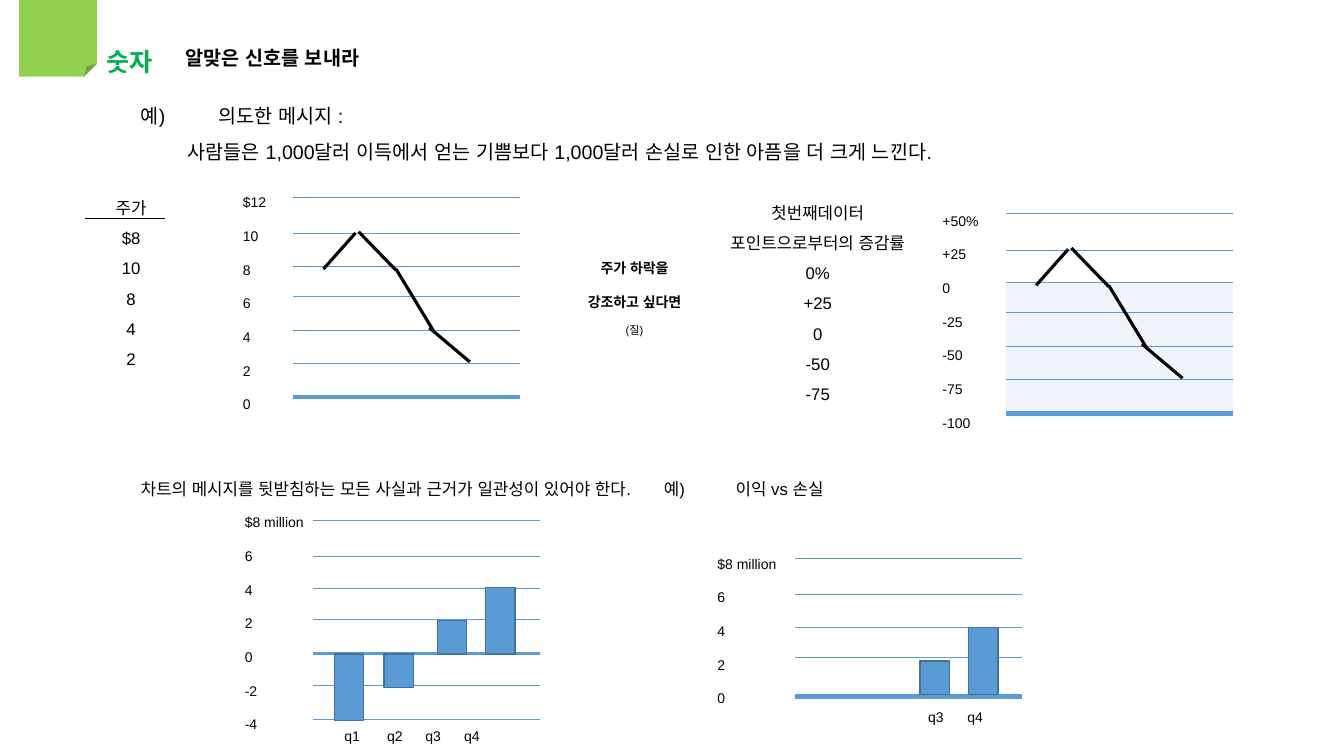
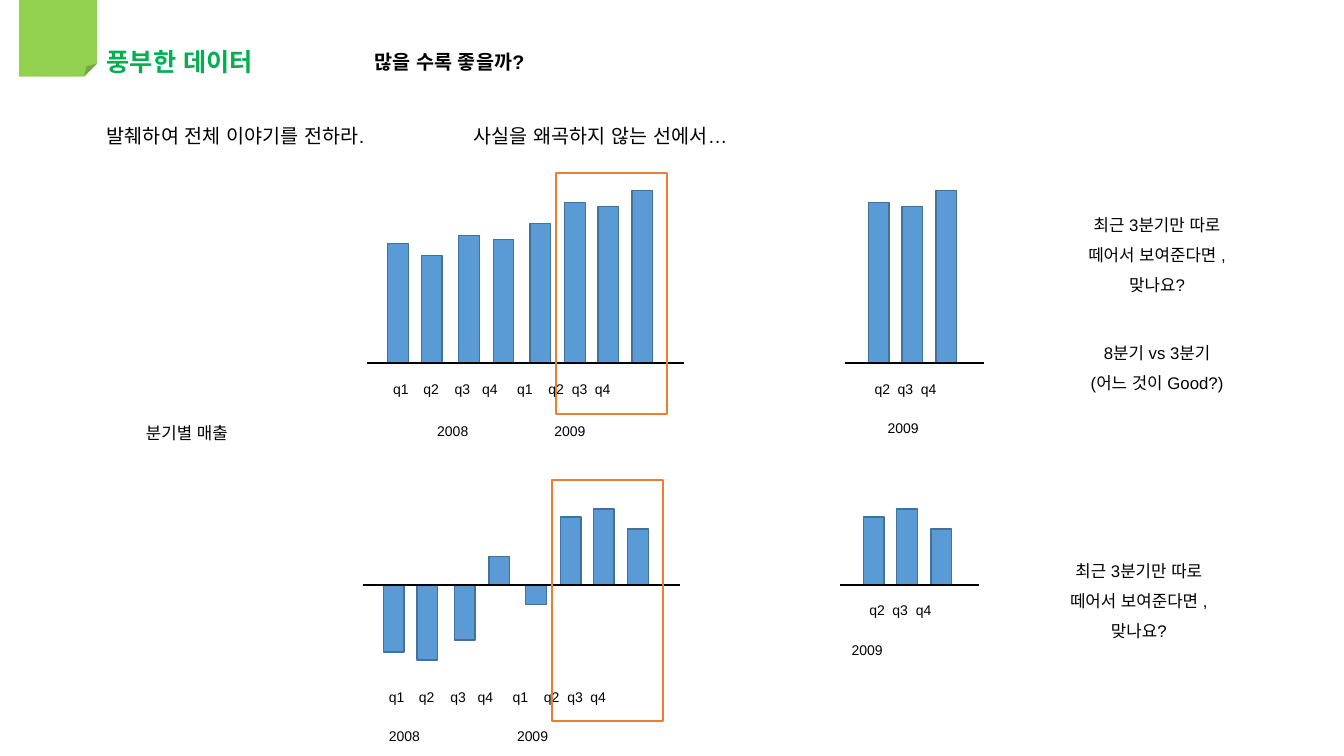
from dataclasses import dataclass

import pptx
import pptx.dml.color
import pptx.enum.shapes
import pptx.enum.text
import pptx.oxml
import pptx.oxml.ns
import pptx.util

Cm = pptx.util.Cm
Pt = pptx.util.Pt
SHAPES = pptx.enum.shapes.MSO_SHAPE
LEFT = pptx.enum.text.PP_ALIGN.LEFT
CENTER = pptx.enum.text.PP_ALIGN.CENTER


@dataclass(frozen=True)
class Theme:
    font: str = "Arial"
    ink: str = "000000"
    title: str = "00B050"
    corner: str = "92D050"
    bar: str = "5B9BD5"
    bar_edge: str = "42719C"
    loss_zone: str = "DEEBF7"
    frame: str = "ED7D31"
    title_size: int = 18
    lead_size: int = 14
    body_size: int = 12
    label_size: int = 10
    note_size: int = 8


@dataclass(frozen=True)
class Line:
    """One paragraph; tabs and indent are in centimetres."""
    text: str
    size: int = 0
    bold: bool = False
    tabs: tuple = ()
    indent: float = 0


def rgb(code):
    return pptx.dml.color.RGBColor.from_string(code)


def add_xml(parent, tag, **attributes):
    child = pptx.oxml.parse_xml(f"<{tag} {pptx.oxml.ns.nsdecls('a')}/>")
    for name, value in attributes.items():
        child.set(name, str(value))
    parent.append(child)
    return child


class Deck:
    # Gridline distances below the top line, shared by all gridded charts
    GRID = (0, 0.91, 1.73, 2.49, 3.35, 4.17, 5.03)
    GRID_WIDTH = 5.72
    # Price curve strokes, relative to the grid's top left corner
    CURVE = ((0.76, 1.8, 1.57, 0.89), (1.65, 0.86, 2.59, 1.83),
             (2.59, 1.8, 3.53, 3.35), (3.43, 3.28, 4.45, 4.14))
    # Bar positions of eight quarters, relative to the axis start
    QUARTERS = (0.52, 1.37, 2.31, 3.18, 4.11, 4.98, 5.82, 6.68)

    def __init__(self, theme):
        self.theme = theme
        self.prs = pptx.Presentation()
        self.prs.slide_width, self.prs.slide_height = Cm(33.87), Cm(19.05)
        self.slide = None

    def new_slide(self, title, title_width):
        self.slide = self.prs.slides.add_slide(self.prs.slide_layouts[6])
        self.box(0.48, 0, 1.96, 1.93, fill=self.theme.corner,
                 kind=SHAPES.FOLDED_CORNER)
        self.text(2.44, 0.66, title_width, 1.27,
                  [Line(title, self.theme.title_size, True)],
                  color=self.theme.title, spacing=1.5)

    def text(self, x, y, w, h, lines, size=None, color=None, align=LEFT,
             spacing=1.0):
        frame = self.slide.shapes.add_textbox(
            Cm(x), Cm(y), Cm(w), Cm(h)).text_frame
        frame.word_wrap = True
        for number, line in enumerate(lines):
            if isinstance(line, str):
                line = Line(line)
            para = frame.add_paragraph() if number else frame.paragraphs[0]
            para.alignment, para.line_spacing = align, spacing
            props = para._p.get_or_add_pPr()
            if line.indent:
                props.set("marL", str(Cm(line.indent)))
                props.set("indent", "0")
            if line.tabs:
                stops = add_xml(props, "a:tabLst")
                for stop in line.tabs:
                    add_xml(stops, "a:tab", pos=Cm(stop), algn="l")
            run = para.add_run()
            run.text = line.text
            run.font.size = Pt(line.size or size or self.theme.body_size)
            run.font.bold = line.bold
            run.font.name = self.theme.font
            run.font.color.rgb = rgb(color or self.theme.ink)
            add_xml(run.font._element, "a:ea", typeface=self.theme.font)

    def labels(self, x, y, w, names, tabs=()):
        """A row of small labels, set apart by tab stops."""
        self.text(x, y, w, 0.69, [Line("\t".join(names), tabs=tabs)],
                  size=self.theme.label_size)

    def scale(self, x, y, w, names):
        self.text(x, y, w, 0.89 * len(names), names,
                  size=self.theme.label_size, spacing=2.0)

    def box(self, x, y, w, h, fill=None, edge=None, width=1.0, alpha=None,
            kind=SHAPES.RECTANGLE):
        shape = self.slide.shapes.add_shape(kind, Cm(x), Cm(y), Cm(w), Cm(h))
        shape.shadow.inherit = False
        if fill:
            shape.fill.solid()
            shape.fill.fore_color.rgb = rgb(fill)
            if alpha:
                color = shape._element.spPr.find(
                    ".//" + pptx.oxml.ns.qn("a:srgbClr"))
                add_xml(color, "a:alpha", val=alpha * 1000)
        else:
            shape.fill.background()
        if edge:
            shape.line.color.rgb = rgb(edge)
            shape.line.width = Pt(width)
        else:
            shape.line.fill.background()

    def line(self, x1, y1, x2, y2, width, color=None):
        stroke = self.slide.shapes.add_connector(
            pptx.enum.shapes.MSO_CONNECTOR.STRAIGHT,
            Cm(x1), Cm(y1), Cm(x2), Cm(y2))
        stroke.line.color.rgb = rgb(color or self.theme.ink)
        stroke.line.width = Pt(width)
        add_xml(stroke._element.spPr, "a:effectLst")

    def grid(self, x, y, offsets=GRID, zero=6, zero_width=3.0):
        for index, offset in enumerate(offsets):
            self.line(x, y + offset, x + self.GRID_WIDTH, y + offset,
                      zero_width if index == zero else 0.75, self.theme.bar)

    def curve(self, x, y):
        for x1, y1, x2, y2 in self.CURVE:
            self.line(x + x1, y + y1, x + x2, y + y2, 2.25)

    def bars(self, base, positions, heights, width):
        """Bars up from the base, or down from it where negative."""
        for x, height in zip(positions, heights):
            self.box(x, base - max(height, 0), width, abs(height),
                     self.theme.bar, self.theme.bar_edge)

    def quarter_chart(self, x, base, heights, label_y):
        """Eight quarters along one axis."""
        self.bars(base, [x + q for q in self.QUARTERS], heights, 0.52)
        self.line(x, base, x + 8, base, 1.5)
        self.labels(x + 0.41, label_y, 6.78,
                    ["q1", "q2", "q3", "q4"] * 2,
                    (0.76, 1.55, 2.24, 3.12, 3.91, 4.5, 5.08))

    def excerpt_chart(self, x, base, heights, label_y):
        """Only the last three quarters."""
        start = x + 0.6 - self.QUARTERS[-3]
        self.bars(base, [start + q for q in self.QUARTERS[-3:]],
                  heights[-3:], 0.52)
        self.line(x, base, x + 3.5, base, 1.5)
        self.labels(x + 0.5, label_y, 2.24, ["q2", "q3", "q4"], (0.58, 1.17))


def signal_slide(deck):
    theme = deck.theme
    deck.new_slide("숫자", 2.01)
    deck.text(4.42, 1.02, 5.36, 0.86, [Line("알맞은 신호를 보내라", bold=True)],
              size=theme.lead_size)
    deck.text(3.3, 2.21, 22.66, 2.06, [
        Line("예)\t의도한 메시지 :", tabs=(1.95,)),
        Line("사람들은 1,000달러 이득에서 얻는 기쁨보다 1,000달러 손실로 인한 "
             "아픔을 더 크게 느낀다.", indent=1.18),
    ], size=theme.lead_size, spacing=1.5)

    # Data columns
    deck.text(2.62, 4.6, 1.37, 4.88, ["주가", "$8", "10", "8", "4", "2"],
              align=CENTER, spacing=1.5)
    deck.line(2.13, 5.51, 4.17, 5.51, 1)
    deck.text(17.93, 4.72, 5.36, 5.64,
              ["첫번째데이터", "포인트으로부터의 증감률",
               "0%", "+25", "0", "-50", "-75"], align=CENTER, spacing=1.5)
    deck.text(14.43, 5.99, 3.12, 2.64,
              [Line("주가 하락을", bold=True),
               Line("강조하고 싶다면", bold=True),
               Line("(질)", theme.note_size)],
              size=theme.label_size, align=CENTER, spacing=2.0)

    # Price chart, then the same curve as a change in percent
    deck.scale(5.87, 4.34, 1.3, ["$12", "10", "8", "6", "4", "2", "0"])
    deck.grid(7.39, 4.98)
    deck.curve(7.39, 4.98)
    deck.box(25.35, 7.14, deck.GRID_WIDTH, 3.28, theme.loss_zone, alpha=50)
    deck.scale(23.5, 4.8, 1.7,
               ["+50%", "+25", "0", "-25", "-50", "-75", "-100"])
    deck.grid(25.35, 5.39)
    deck.curve(25.35, 5.39)

    # Profit against loss
    deck.text(3.3, 11.94, 19.76, 0.76, [
        Line("차트의 메시지를 뒷받침하는 모든 사실과 근거가 일관성이 있어야 한다."
             "\t예)\t이익 vs 손실", tabs=(13.18, 14.99))])
    profits = (-1.68, -0.84, 0.84, 1.68)
    columns = (8.43, 9.68, 11.02, 12.24)
    deck.grid(7.88, 13.11, zero=4, zero_width=2.25)
    deck.scale(5.92, 12.4, 2.11,
               ["$8 million", "6", "4", "2", "0", "-2", "-4"])
    deck.bars(16.48, columns, profits, 0.74)
    deck.labels(8.43, 18.21, 4.52, ["q1", "q2", "q3", "q4"],
                (1.08, 2.04, 3.02))
    deck.grid(20.04, 14.07, (*deck.GRID[:4], 3.48), zero=4)
    deck.scale(17.83, 13.44, 2.11, ["$8 million", "6", "4", "2", "0"])
    deck.bars(17.5, [x + 12.17 for x in columns[2:]], profits[2:], 0.74)
    deck.labels(23.14, 17.73, 2.08, ["q3", "q4"], (0.99,))


def data_slide(deck):
    theme = deck.theme
    deck.new_slide("풍부한 데이터", 5.33)
    deck.text(9.19, 0.84, 4.57, 1.14, [Line("많을 수록 좋을까?", bold=True)],
              size=theme.lead_size, spacing=1.5)
    deck.text(2.44, 3.0, 17.65, 0.86, [
        Line("발췌하여 전체 이야기를 전하라.\t사실을 왜곡하지 않는 선에서…",
             tabs=(9.25,))], size=theme.lead_size)
    deck.text(3.43, 10.52, 2.79, 0.76, ["분기별 매출"])

    # Full series and excerpt, for sales and for results with losses
    sales = (3.0, 2.7, 3.2, 3.1, 3.5, 4.04, 3.94, 4.34)
    results = (-1.7, -1.9, -1.4, 0.7, -0.5, 1.7, 1.9, 1.4)
    deck.quarter_chart(9.25, 9.14, sales, 9.47)
    deck.excerpt_chart(21.29, 9.14, sales, 9.47)
    deck.quarter_chart(9.14, 14.73, results, 17.22)
    deck.excerpt_chart(21.16, 14.73, results, 15.04)
    # Frames round the last three quarters
    for x, y in ((14.02, 4.37), (13.92, 12.09)):
        deck.box(x, y, 2.79, 6.07, edge=theme.frame, width=1.5)

    # Years
    deck.labels(10.77, 10.52, 4.95, ["2008", "2009"], (2.95,))
    deck.labels(9.55, 18.21, 5.21, ["2008", "2009"], (3.23,))
    deck.labels(22.12, 10.44, 1.5, ["2009"])
    deck.labels(21.21, 16.05, 1.5, ["2009"])

    # Questions beside the charts
    excerpt_question = ["최근 3분기만 따로", "떼어서 보여준다면 ,", "맞나요?"]
    for x, y, lines in ((27.0, 5.03, excerpt_question),
                        (27.0, 8.26, ["8분기 vs 3분기", "(어느 것이 Good?)"]),
                        (26.54, 13.74, excerpt_question)):
        deck.text(x, y, 4.32, 0.86 * len(lines), lines,
                  align=CENTER, spacing=1.5)


def main():
    deck = Deck(Theme())
    signal_slide(deck)
    data_slide(deck)
    deck.prs.save("out.pptx")


if __name__ == "__main__":
    main()
